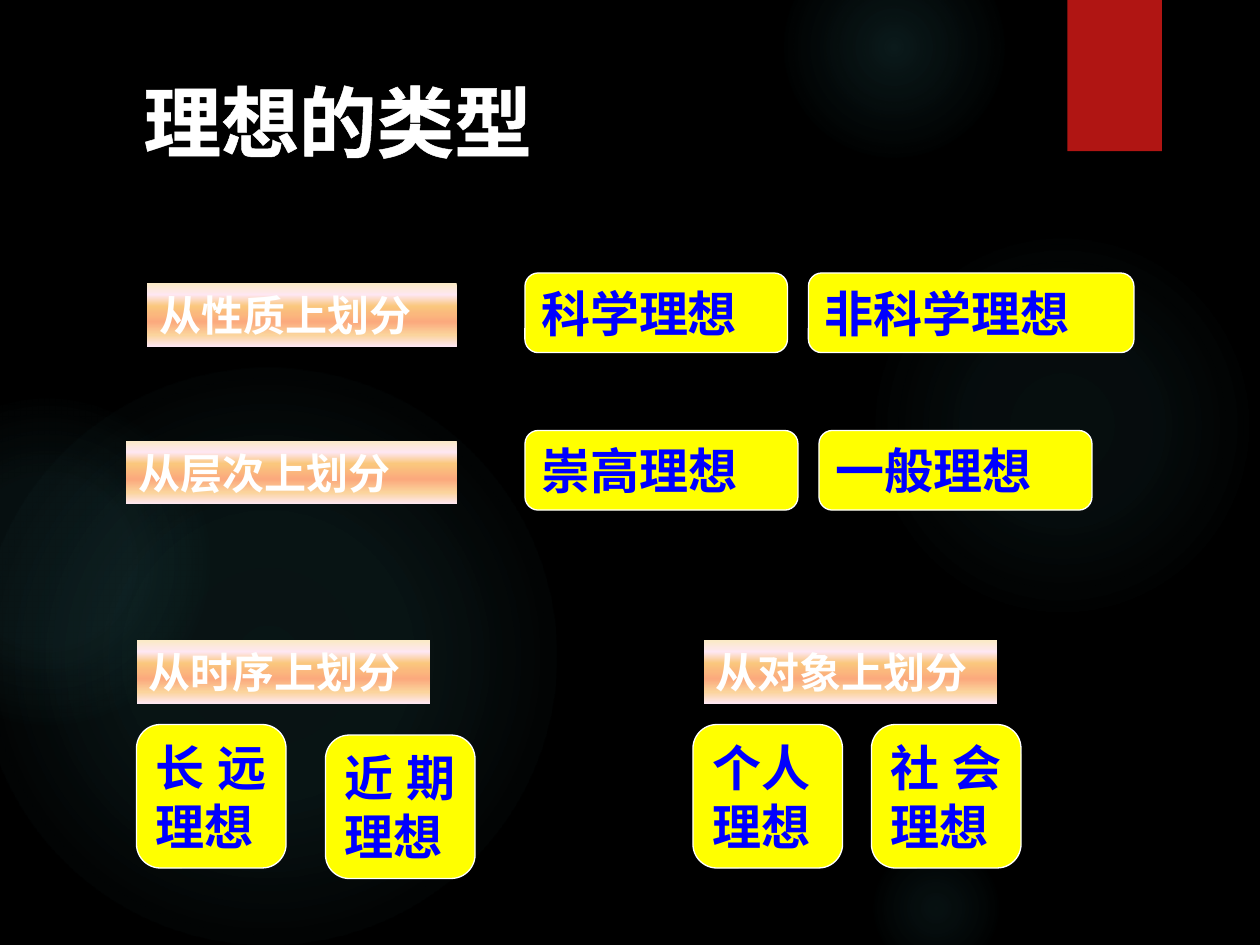
from dataclasses import dataclass

from pptx import Presentation
from pptx import util as u
from pptx.dml.color import RGBColor
from pptx.enum import shapes, text
from pptx.oxml import ns, parse_xml


@dataclass(frozen=True)
class Theme:
    background: str = "000000"
    glow: str = "50B9C1"
    ribbon: str = "B01513"
    chip: str = "FFFF00"
    chip_text: str = "0000FF"
    white: str = "FFFFFF"
    label_stops: tuple = ((0, "FBEAC7"), (18, "FEE7F2"), (36, "FAC77D"),
                          (61, "FBA97D"), (82, "FBD49C"), (100, "FEE7F2"))
    latin: str = "Arial"
    chinese: str = "Noto Sans CJK SC"
    title_size: float = 44.4
    label_size: float = 24
    chip_size: float = 28


THEME = Theme()

# left, top, diameter, then the opacity at the centre and at 36 %, and the faded position
GLOWS = [
    (496, 132, 222, 7, 6, 69),
    (448, -36, 126, 14, 7, 73),
    (496, 480, 78, 9, 5, 66),
    (-12, 210, 330, 11, 10, 75),
    (-66, 228, 186, 8, 8, 72),
]
LABEL_HEIGHT = 36
LABELS = [
    ("从性质上划分", 84, 162, 177),
    ("从层次上划分", 72, 252, 189),
    ("从时序上划分", 78, 366, 168),
    ("从对象上划分", 402, 366, 168),
]
WIDE_HEIGHT = 45.5
WIDE_CHIPS = [
    ("科学理想", 300, 156, 150),
    ("非科学理想", 462, 156, 186),
    ("崇高理想", 300, 246, 156),
    ("一般理想", 468, 246, 156),
]
SQUARE_SIZE = (85.5, 82)
SQUARE_CHIPS = [
    ("长远理想", 78, 414),
    ("近期理想", 186, 420),
    ("个人\n理想", 396, 414),
    ("社会理想", 498, 414),
]


def rgb(value):
    return RGBColor.from_string(value)


def add_shape(slide, kind, left, top, width, height, fill=None, line=None):
    shape = slide.shapes.add_shape(kind, *map(u.Pt, (left, top, width, height)))
    shape.shadow.inherit = False
    if fill:
        shape.fill.solid()
        shape.fill.fore_color.rgb = rgb(fill)
    if line:
        shape.line.color.rgb = rgb(line)
        shape.line.width = u.Pt(0.75)
    else:
        shape.line.fill.background()
    return shape


def fill_gradient(shape, stops, direction):
    """Fill with (position, colour, opacity) stops, all but colour in percent."""
    stop_xml = "".join(
        f'<a:gs pos="{position * 1000}"><a:srgbClr val="{color}">'
        f'<a:alpha val="{opacity * 1000}"/></a:srgbClr></a:gs>'
        for position, color, opacity in stops)
    gradient = parse_xml(f'<a:gradFill {ns.nsdecls("a")} rotWithShape="1">'
                         f'<a:gsLst>{stop_xml}</a:gsLst>{direction}</a:gradFill>')
    shape.fill.gradient()
    properties = shape._element.spPr
    properties.replace(properties.find(ns.qn("a:gradFill")), gradient)


def write_text(shape, content, *, size, color, align, latin=THEME.latin,
               anchor=text.MSO_ANCHOR.TOP, wrap=True, spacing=None, outline=None,
               fit=text.MSO_AUTO_SIZE.SHAPE_TO_FIT_TEXT):
    frame = shape.text_frame
    frame.text = content
    frame.word_wrap = wrap
    frame.auto_size = fit
    frame.vertical_anchor = anchor
    for paragraph in frame.paragraphs:
        paragraph.alignment = align
        if spacing:
            paragraph.line_spacing = spacing
        for run in paragraph.runs:
            font = run.font
            font.name = latin
            font.size = u.Pt(size)
            font.bold = True
            font.color.rgb = rgb(color)
            properties = run._r.get_or_add_rPr()
            properties.find(ns.qn("a:latin")).addnext(parse_xml(
                f'<a:ea {ns.nsdecls("a")} typeface="{THEME.chinese}"/>'))
            if outline:
                properties.insert(0, parse_xml(
                    f'<a:ln {ns.nsdecls("a")} w="{u.Pt(outline)}"><a:solidFill>'
                    f'<a:srgbClr val="{color}"/></a:solidFill></a:ln>'))


def add_glow(slide, left, top, diameter, centre, middle, edge):
    glow = add_shape(slide, shapes.MSO_SHAPE.OVAL, left, top, diameter, diameter)
    stops = [(0, THEME.glow, centre), (36, THEME.glow, middle), (edge, THEME.glow, 0)]
    fill_gradient(glow, stops, '<a:path path="circle"><a:fillToRect l="50000" t="50000" '
                               'r="50000" b="50000"/></a:path>')


def add_ribbon(slide):
    ribbon = add_shape(slide, shapes.MSO_SHAPE.RECTANGLE, 610, 0, 54, 86.4, THEME.ribbon)
    effects = ribbon._element.spPr.find(ns.qn("a:effectLst"))
    effects.append(parse_xml(
        f'<a:outerShdw {ns.nsdecls("a")} blurRad="{u.Pt(3)}" dist="{u.Pt(2)}" dir="5400000">'
        '<a:srgbClr val="000000"><a:alpha val="45000"/></a:srgbClr></a:outerShdw>'))


def add_title(slide):
    box = slide.shapes.add_textbox(*map(u.Pt, (54, 49, 278, 51)))
    write_text(box, "理想的类型", size=THEME.title_size, color=THEME.white,
               align=text.PP_ALIGN.CENTER, latin=THEME.chinese, wrap=False,
               spacing=0.8, outline=1.5, fit=text.MSO_AUTO_SIZE.NONE)


def add_label(slide, content, left, top, width):
    label = add_shape(slide, shapes.MSO_SHAPE.RECTANGLE, left, top, width, LABEL_HEIGHT)
    stops = [(position, color, 100) for position, color in THEME.label_stops]
    fill_gradient(label, stops, '<a:lin ang="5400000" scaled="0"/>')
    write_text(label, content, size=THEME.label_size, color=THEME.white,
               align=text.PP_ALIGN.LEFT)


def add_chip(slide, content, left, top, width, height):
    chip = add_shape(slide, shapes.MSO_SHAPE.ROUNDED_RECTANGLE, left, top, width, height,
                     THEME.chip, THEME.white)
    write_text(chip, content, size=THEME.chip_size, color=THEME.chip_text,
               align=text.PP_ALIGN.JUSTIFY, anchor=text.MSO_ANCHOR.MIDDLE)


def main():
    presentation = Presentation()
    presentation.slide_width, presentation.slide_height = u.Pt(720), u.Pt(540)
    slide = presentation.slides.add_slide(presentation.slide_layouts[6])
    slide.background.fill.solid()
    slide.background.fill.fore_color.rgb = rgb(THEME.background)

    for glow in GLOWS:
        add_glow(slide, *glow)
    add_ribbon(slide)
    add_title(slide)
    for label in LABELS:
        add_label(slide, *label)
    for chip in WIDE_CHIPS:
        add_chip(slide, *chip, WIDE_HEIGHT)
    for chip in SQUARE_CHIPS:
        add_chip(slide, *chip, *SQUARE_SIZE)
    presentation.save("out.pptx")


if __name__ == "__main__":
    main()
